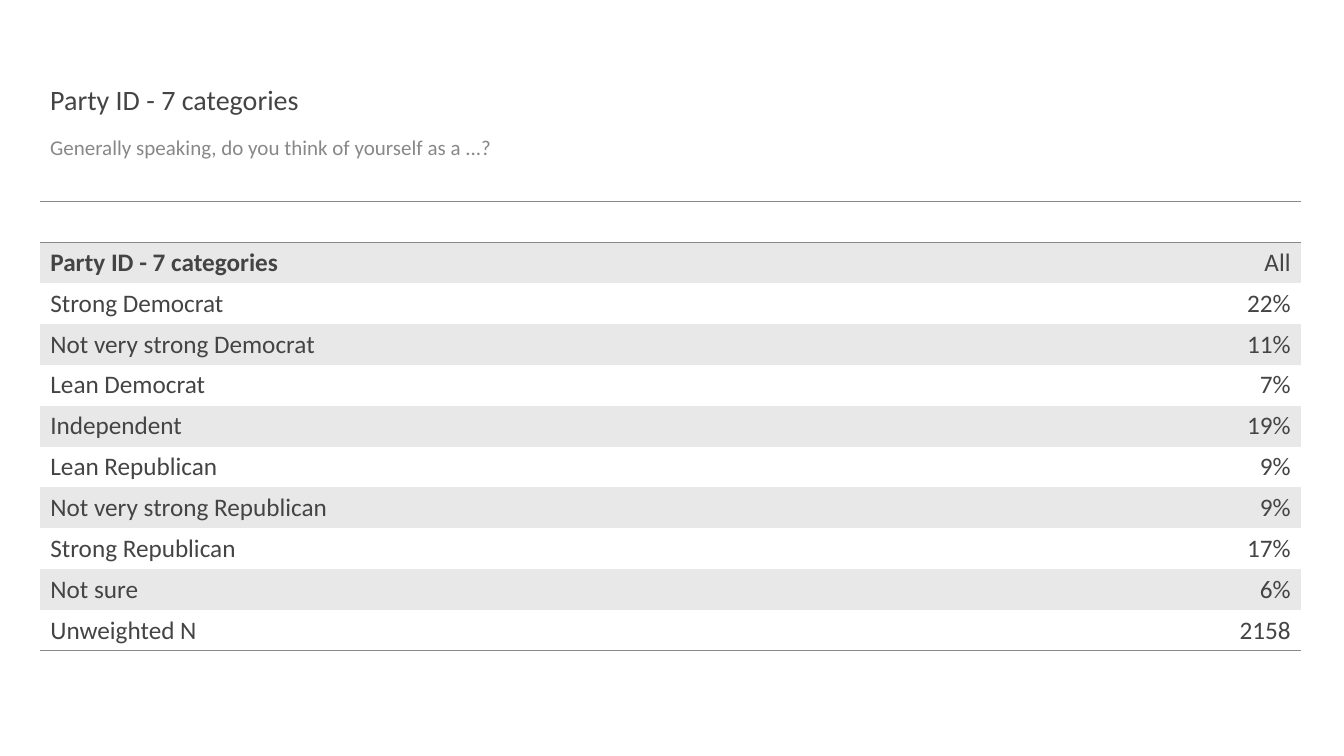
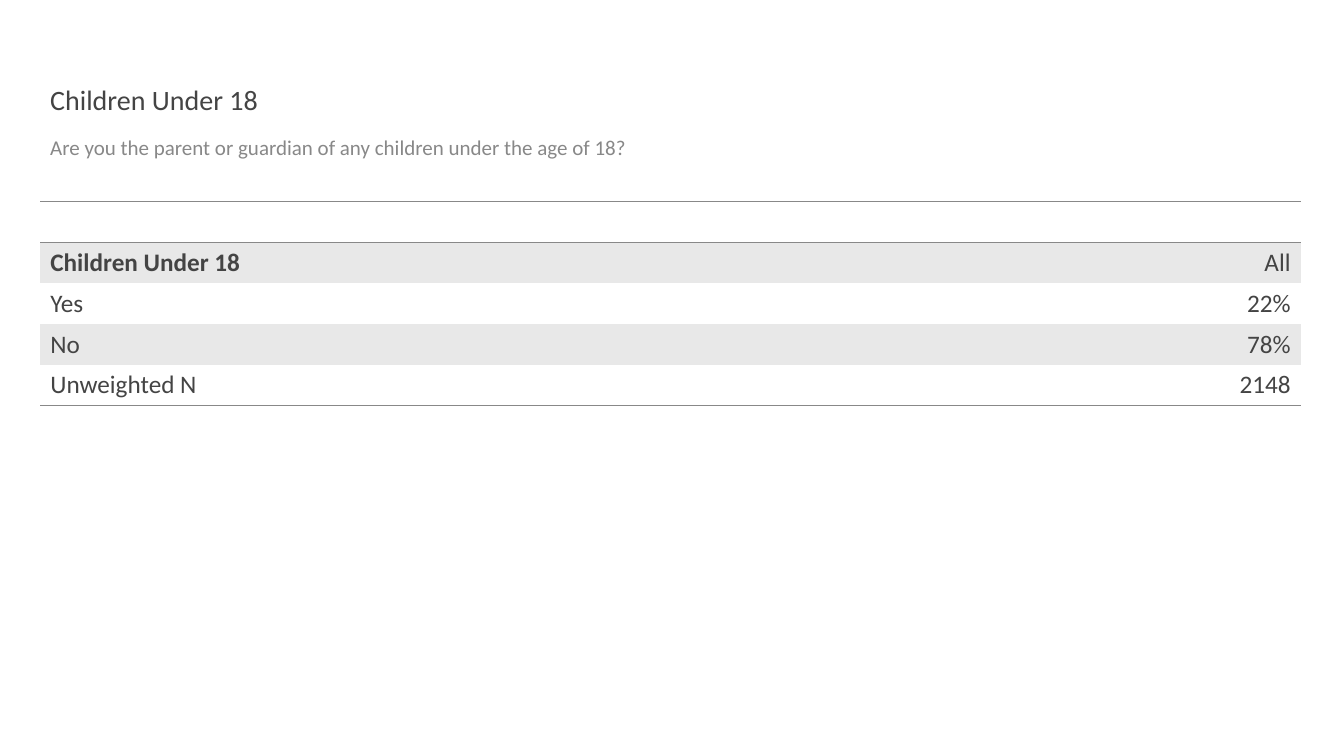
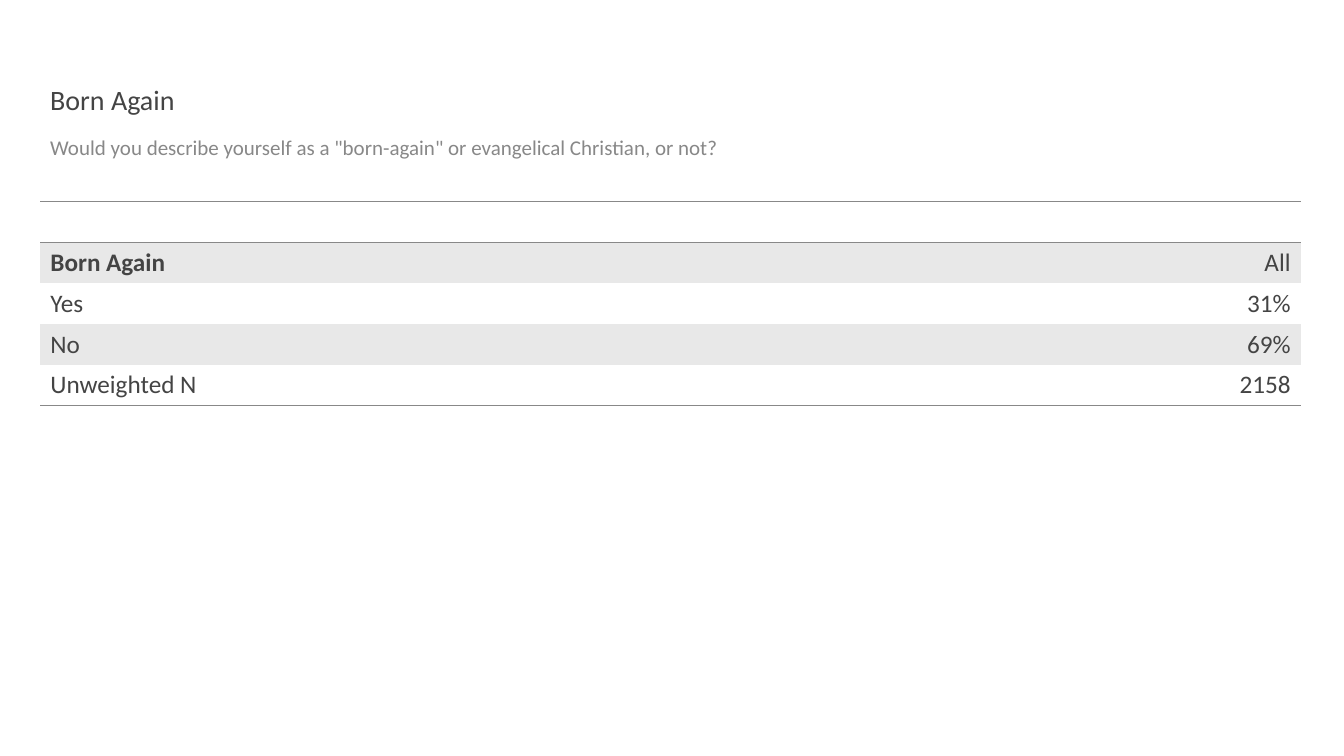
"""Build three survey topline slides, each with a title, a question and a table."""
from lxml import etree
from pptx import Presentation
from pptx import util as u
from pptx.dml.color import RGBColor
from pptx.enum import text
from pptx.oxml.ns import qn

INK = RGBColor(0x44, 0x44, 0x44)
GRAY = RGBColor(0x88, 0x88, 0x88)
BAND = RGBColor(0xE8, 0xE8, 0xE8)
FONT = "Calibri"
NO_STYLE = "{2D5ABB26-0587-4C30-8999-92F81FD0307C}"

LEFT, COL, ROW = 0.4, 6.25, 4.46 / 11
WIDTH = 2 * COL
TABLE_TOP = 2

TITLE = {"size": u.Pt(20), "name": FONT, "bold": False}
QUESTION = {"size": u.Pt(15), "name": FONT, "bold": False}
CELL = {"size": u.Pt(18), "name": FONT, "bold": False}
HEAD = {**CELL, "bold": True}

SURVEYS = [
    ("Party ID - 7 categories",
     "Generally speaking, do you think of yourself as a ...?",
     [("Strong Democrat", "22%"), ("Not very strong Democrat", "11%"),
      ("Lean Democrat", "7%"), ("Independent", "19%"),
      ("Lean Republican", "9%"), ("Not very strong Republican", "9%"),
      ("Strong Republican", "17%"), ("Not sure", "6%"),
      ("Unweighted N", "2158")]),
    ("Children Under 18",
     "Are you the parent or guardian of any children under the age of 18?",
     [("Yes", "22%"), ("No", "78%"), ("Unweighted N", "2148")]),
    ("Born Again",
     'Would you describe yourself as a "born-again" or evangelical Christian, or not?',
     [("Yes", "31%"), ("No", "69%"), ("Unweighted N", "2158")]),
]


def write(p, words, style, color):
    r = p.add_run()
    r.text = words
    for key, value in style.items():
        setattr(r.font, key, value)
    r.font.color.rgb = color


def add_border(cell, side):
    ln = etree.SubElement(cell._tc.get_or_add_tcPr(), qn(f"a:ln{side}"), w=str(u.Pt(1)))
    fill = etree.SubElement(ln, qn("a:solidFill"))
    etree.SubElement(fill, qn("a:srgbClr"), val=str(GRAY))


prs = Presentation()
prs.slide_width, prs.slide_height = u.Inches(13.33), u.Inches(7.5)

for title, question, answers in SURVEYS:
    s = prs.slides.add_slide(prs.slide_layouts[6])

    for words, top, height, style, color, anchor in [
        (title, 0.4, 0.81, TITLE, INK, text.MSO_ANCHOR.BOTTOM),
        (question, 1.31, 0.51, QUESTION, GRAY, text.MSO_ANCHOR.TOP),
    ]:
        sp = s.shapes.add_textbox(*map(u.Inches, (LEFT, top, WIDTH, height)))
        tf = sp.text_frame
        tf.word_wrap = True
        tf.vertical_anchor = anchor
        p = tf.paragraphs[0]
        p.line_spacing = 0.9
        write(p, words, style, color)

    rows = [("", ""), (title, "All"), *answers]
    last = len(rows) - 1
    frame = s.shapes.add_table(
        len(rows), 2, *map(u.Inches, (LEFT, TABLE_TOP, WIDTH, ROW * len(rows))))
    tbl = frame.table
    tbl.first_row = tbl.horz_banding = False
    tbl._tbl.tblPr.find(qn("a:tableStyleId")).text = NO_STYLE

    for i, row in enumerate(rows):
        tbl.rows[i].height = u.Inches(ROW)
        for j, words in enumerate(row):
            cell = tbl.cell(i, j)
            for side in {0: "TB", last: "B"}.get(i, ""):
                add_border(cell, side)
            if i % 2:
                cell.fill.solid()
                cell.fill.fore_color.rgb = BAND
            else:
                cell.fill.background()
            cell.vertical_anchor = text.MSO_ANCHOR.BOTTOM if i == 1 else text.MSO_ANCHOR.MIDDLE
            p = cell.text_frame.paragraphs[0]
            p.alignment = text.PP_ALIGN.RIGHT if j else text.PP_ALIGN.LEFT
            if words:
                write(p, words, HEAD if (i, j) == (1, 0) else CELL, INK)

prs.save("out.pptx")
